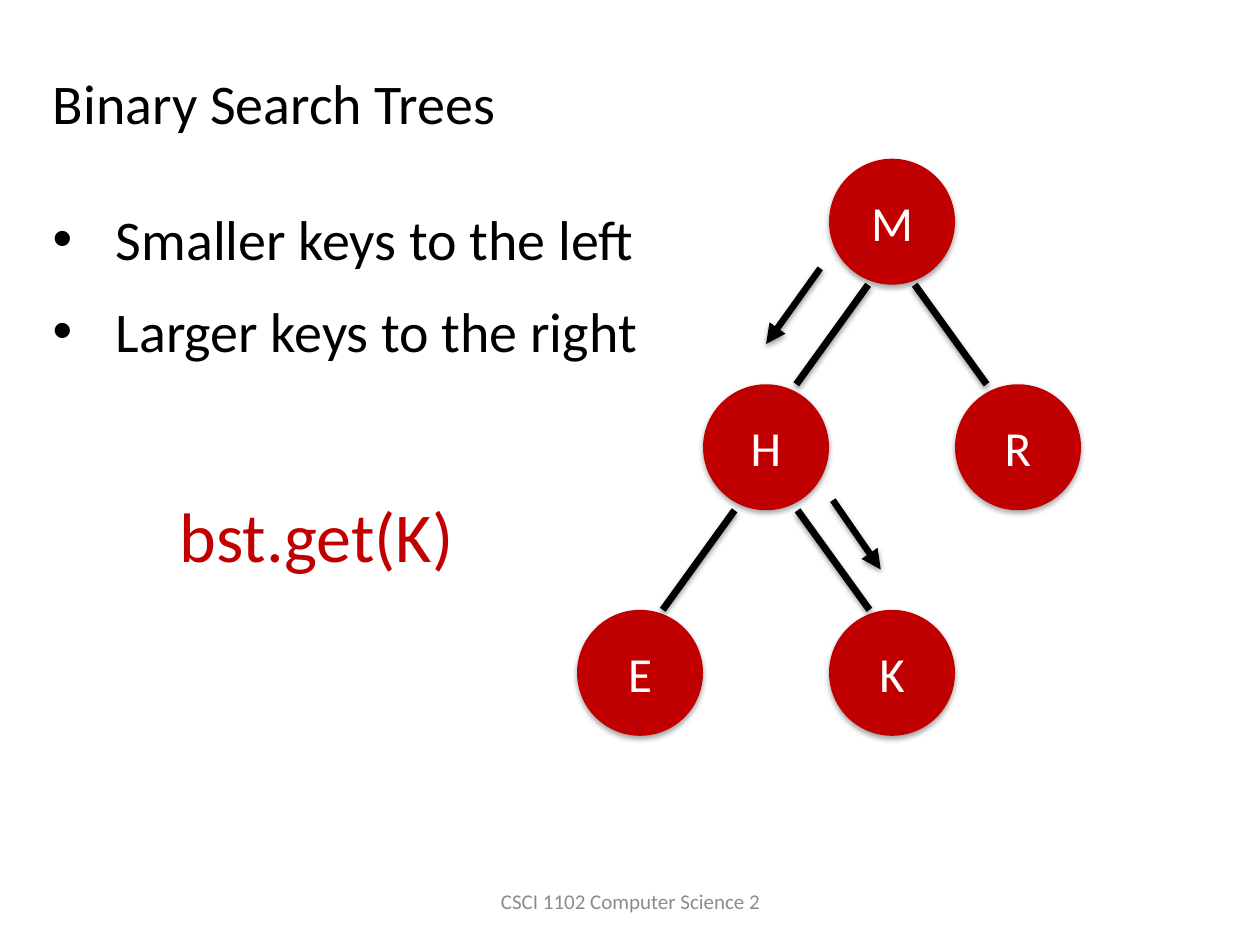
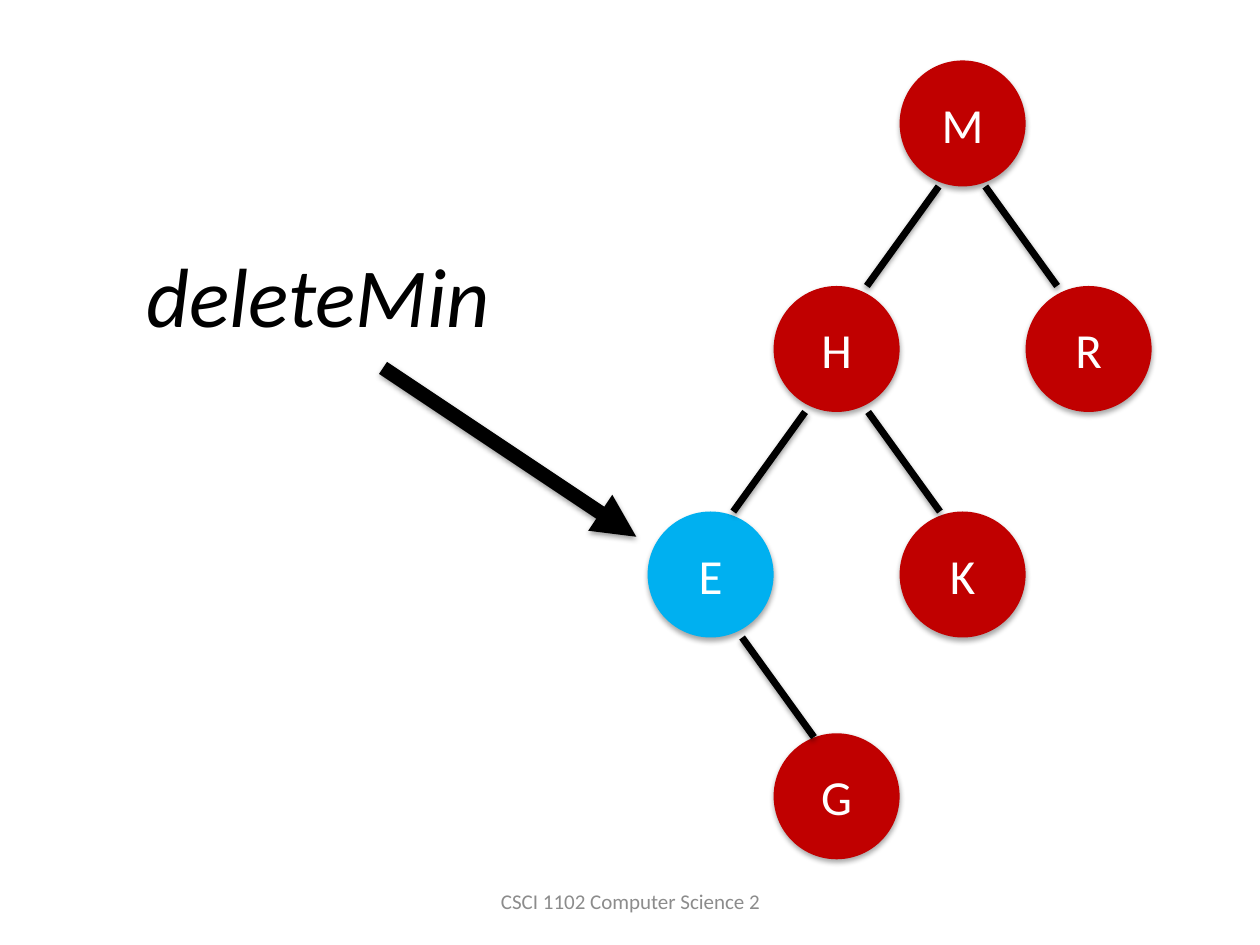
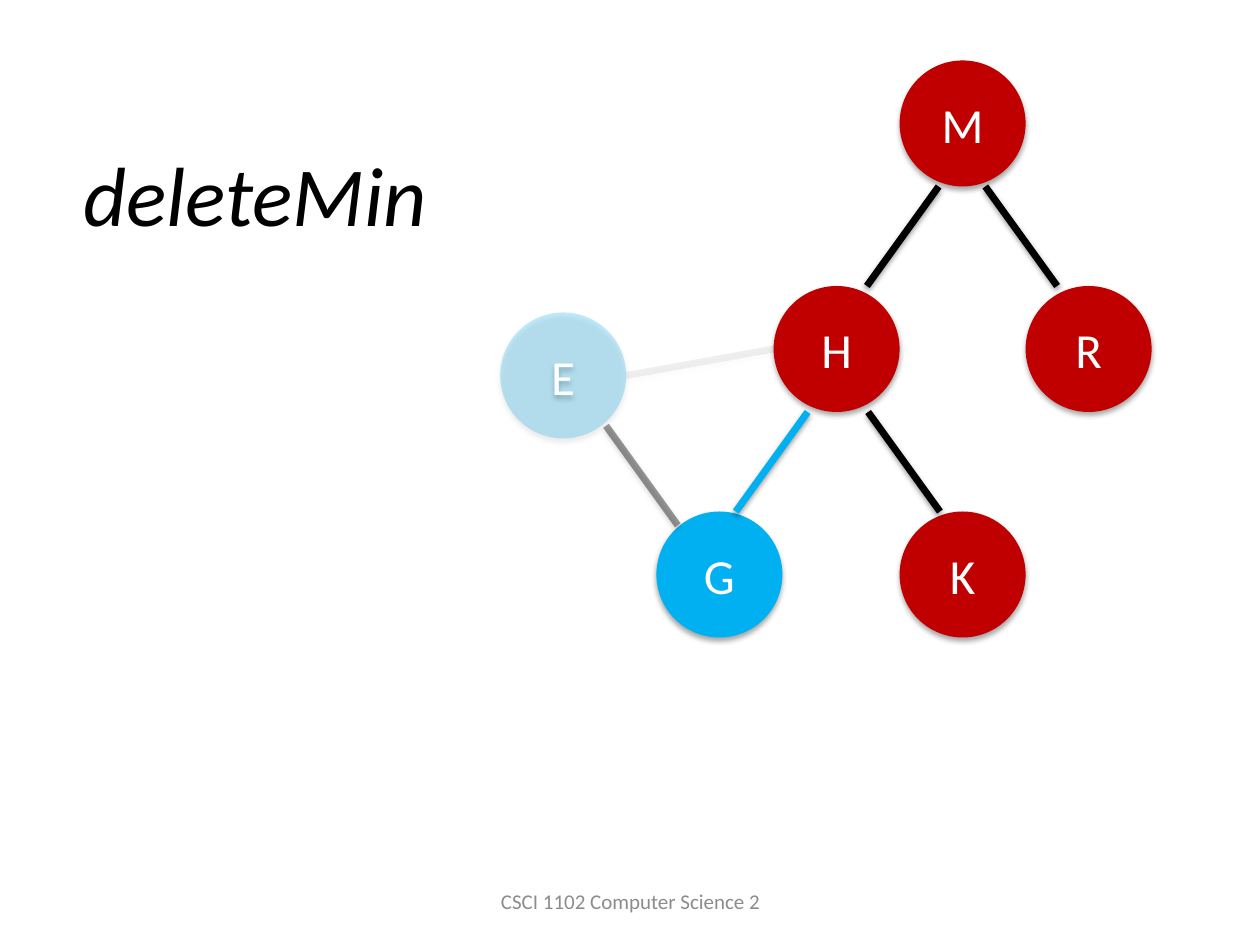
from typing import NamedTuple

from lxml import etree
from pptx import Presentation
from pptx.dml.color import RGBColor
from pptx.enum import shapes, text
from pptx.oxml import ns
from pptx.util import Inches, Pt

RED = RGBColor(0xC0, 0x00, 0x00)
BLUE = RGBColor(0x00, 0xB0, 0xF0)
BLACK = RGBColor(0x00, 0x00, 0x00)
WHITE = RGBColor(0xFF, 0xFF, 0xFF)
GREY = RGBColor(0x8C, 0x8C, 0x8C)
FONT = "Calibri"
FOOTER = "CSCI 1102 Computer Science 2"

SIZE = 1.0  # node diameter
ROW = 1.79  # distance between tree levels
RUN, RISE = 0.57, 0.79  # extent of a branch
INDENT = 0.5


class Box(NamedTuple):
    left: float
    top: float
    width: float
    height: float


class Style(NamedTuple):
    size: float
    color: RGBColor = BLACK
    italic: bool = False
    align: text.PP_ALIGN = text.PP_ALIGN.LEFT
    anchor: text.MSO_ANCHOR = text.MSO_ANCHOR.TOP


class Node(NamedTuple):
    """A key, placed relative to the root of its tree."""
    key: str
    right: float
    down: float
    color: RGBColor = RED
    alpha: int = 100


class Branch(NamedTuple):
    """A link to a child; side is -1 for left, 1 for right."""
    key: str
    side: int
    start: float
    color: RGBColor = BLACK


class Line(NamedTuple):
    x1: float
    y1: float
    x2: float
    y2: float
    width: float = 4
    color: RGBColor = BLACK
    alpha: int = 100
    arrow: bool = False


HEAD = Style(32)
VERB = Style(48, italic=True)
CALL = Style(40, RED)
LABEL = Style(28, WHITE, align=text.PP_ALIGN.CENTER, anchor=text.MSO_ANCHOR.MIDDLE)
FOOT = Style(12, GREY, align=text.PP_ALIGN.CENTER, anchor=text.MSO_ANCHOR.MIDDLE)

TOP = [Node("M", 0, 0), Node("H", -1, ROW), Node("R", 1, ROW), Node("K", 0, 2 * ROW)]
LINKS = [Branch("M", -1, 0.19), Branch("M", 1, 0.18), Branch("H", 1, 0.25)]
LEFT = Branch("H", -1, 0.25)


def place(shape, box: Box) -> None:
    shape.left, shape.top, shape.width, shape.height = map(Inches, box)


def write(shape, words: str, style: Style) -> None:
    frame = shape.text_frame
    frame.text = words
    frame.word_wrap = True
    frame.auto_size = text.MSO_AUTO_SIZE.NONE
    frame.vertical_anchor = style.anchor
    for para in frame.paragraphs:
        para.alignment = style.align
        for run in para.runs:
            font = run.font
            font.name, font.size = FONT, Pt(style.size)
            font.italic = style.italic
            font.color.rgb = style.color


def add_text(slide, words: str, box: Box, style: Style):
    shape = slide.shapes.add_textbox(*map(Inches, box))
    write(shape, words, style)
    return shape


def add_bullets(slide, words: str, box: Box) -> None:
    shape = add_text(slide, words, box, HEAD)
    for i, para in enumerate(shape.text_frame.paragraphs):
        para.space_before = Pt(14.6 if i else 0)
        props = para._p.get_or_add_pPr()
        props.set("marL", str(Inches(INDENT)))
        props.set("indent", str(-Inches(INDENT)))
        etree.SubElement(props, ns.qn("a:buFont"), typeface="Arial")
        etree.SubElement(props, ns.qn("a:buChar"), char="•")


def fade(shape, alpha: int) -> None:
    """Make the first solid colour of the shape, fill or line, translucent."""
    if alpha < 100:
        color = shape._element.spPr.find(".//" + ns.qn("a:srgbClr"))
        etree.SubElement(color, ns.qn("a:alpha"), val=str(alpha * 1000))


def add_line(slide, line: Line) -> None:
    ends = map(Inches, (line.x1, line.y1, line.x2, line.y2))
    link = slide.shapes.add_connector(shapes.MSO_CONNECTOR.STRAIGHT, *ends)
    link.line.width = Pt(line.width)
    link.line.color.rgb = line.color
    fade(link, line.alpha)
    if line.arrow:
        etree.SubElement(link.line._get_or_add_ln(), ns.qn("a:tailEnd"), type="triangle")


def add_node(slide, node: Node, left: float, top: float) -> None:
    """Draw a key; its soft shadow comes from the theme."""
    box = Box(left + node.right, top + node.down, SIZE, SIZE)
    disc = slide.shapes.add_shape(shapes.MSO_SHAPE.OVAL, *map(Inches, box))
    disc.fill.solid()
    disc.fill.fore_color.rgb = node.color
    disc.line.fill.background()
    fade(disc, node.alpha)
    write(disc, node.key, LABEL)


def add_tree(slide, left: float, top: float, nodes: list[Node], links: list[Branch]) -> None:
    spots = {node.key: node for node in nodes}
    for node in nodes:
        add_node(slide, node, left, top)
    for link in links:
        node = spots[link.key]
        x = left + node.right + SIZE / 2 + link.side * link.start
        y = top + node.down + SIZE
        add_line(slide, Line(x, y, x + link.side * RUN, y + RISE, color=link.color))


def add_slide(deck, title: str, box: Box, style: Style):
    slide = deck.slides.add_slide(deck.slide_layouts[5])
    place(slide.shapes.title, box)
    write(slide.shapes.title, title, style)
    add_text(slide, FOOTER, Box(3.42, 6.95, 3.17, 0.4), FOOT)
    return slide


def show_search(deck) -> None:
    slide = add_slide(deck, "Binary Search Trees", Box(0.32, 0.49, 4.89, 0.64), HEAD)
    add_tree(slide, 6.58, 1.26, [*TOP, Node("E", -2, 2 * ROW)], [*LINKS, LEFT])
    add_bullets(slide, "Smaller keys to the left\nLarger keys to the right",
                Box(0.32, 1.57, 4.89, 1.38))
    add_text(slide, "bst.get(K)", Box(1.33, 3.86, 2.4, 0.77), CALL)
    add_line(slide, Line(6.51, 2.13, 6.08, 2.73, 3.75, arrow=True))
    add_line(slide, Line(6.61, 3.97, 6.99, 4.52, 3.75, arrow=True))


def show_target(deck) -> None:
    slide = add_slide(deck, "deleteMin", Box(1.06, 1.88, 3.4, 0.91), VERB)
    nodes = [*TOP, Node("E", -2, 2 * ROW, BLUE), Node("G", -1, 5.34)]
    add_tree(slide, 7.14, 0.48, nodes, [*LINKS, LEFT, Branch("E", 1, 0.25)])
    add_line(slide, Line(3.04, 2.92, 5.05, 4.26, 8.25, arrow=True))


def show_result(deck) -> None:
    slide = add_slide(deck, "deleteMin", Box(0.56, 1.08, 3.4, 0.91), VERB)
    nodes = [*TOP, Node("E", -3.17, 2, BLUE, 24), Node("G", -1.93, 2 * ROW, BLUE)]
    add_tree(slide, 7.14, 0.48, nodes, [*LINKS, Branch("H", -1, 0.23, BLUE)])
    add_line(slide, Line(6.14, 2.77, 4.97, 2.98, alpha=5))
    add_line(slide, Line(4.81, 3.38, 5.38, 4.17, alpha=39))


def main() -> None:
    deck = Presentation()
    deck.slide_width, deck.slide_height = Inches(10), Inches(7.5)
    show_search(deck)
    show_target(deck)
    show_result(deck)
    deck.save("out.pptx")


if __name__ == "__main__":
    main()
